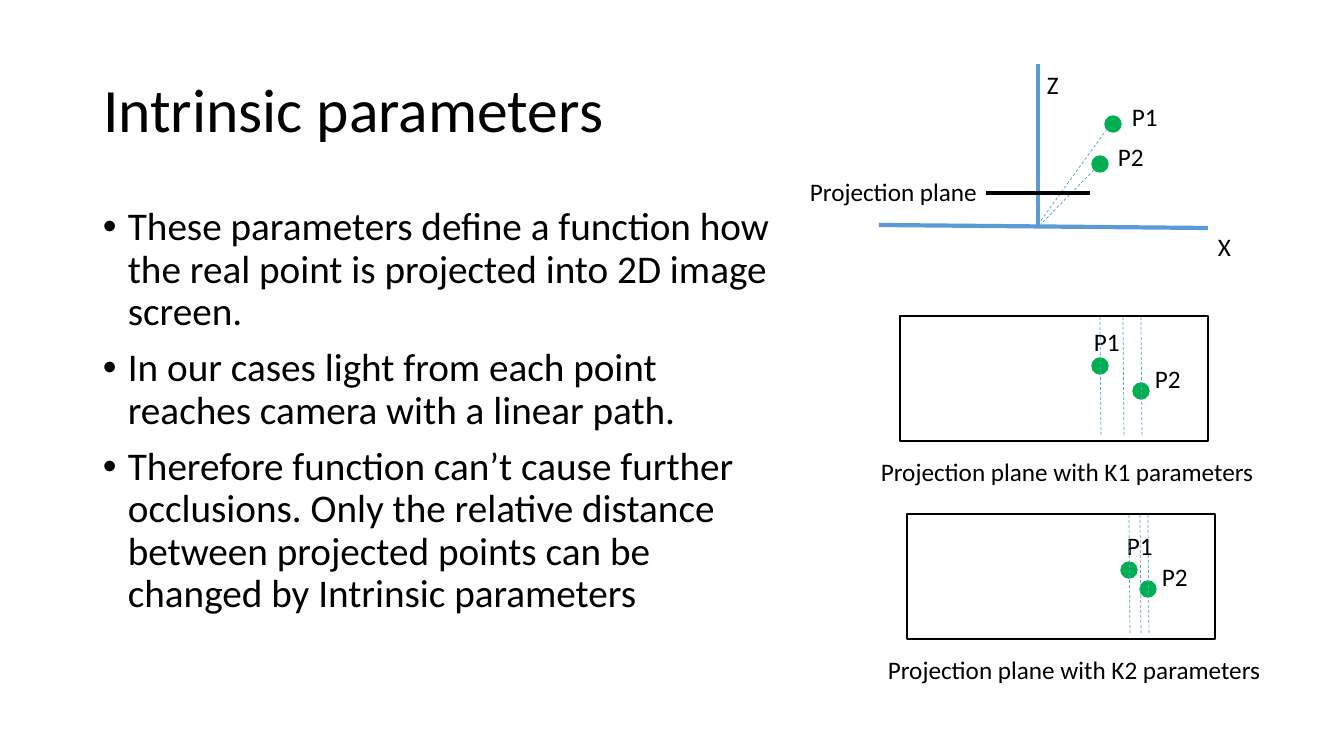
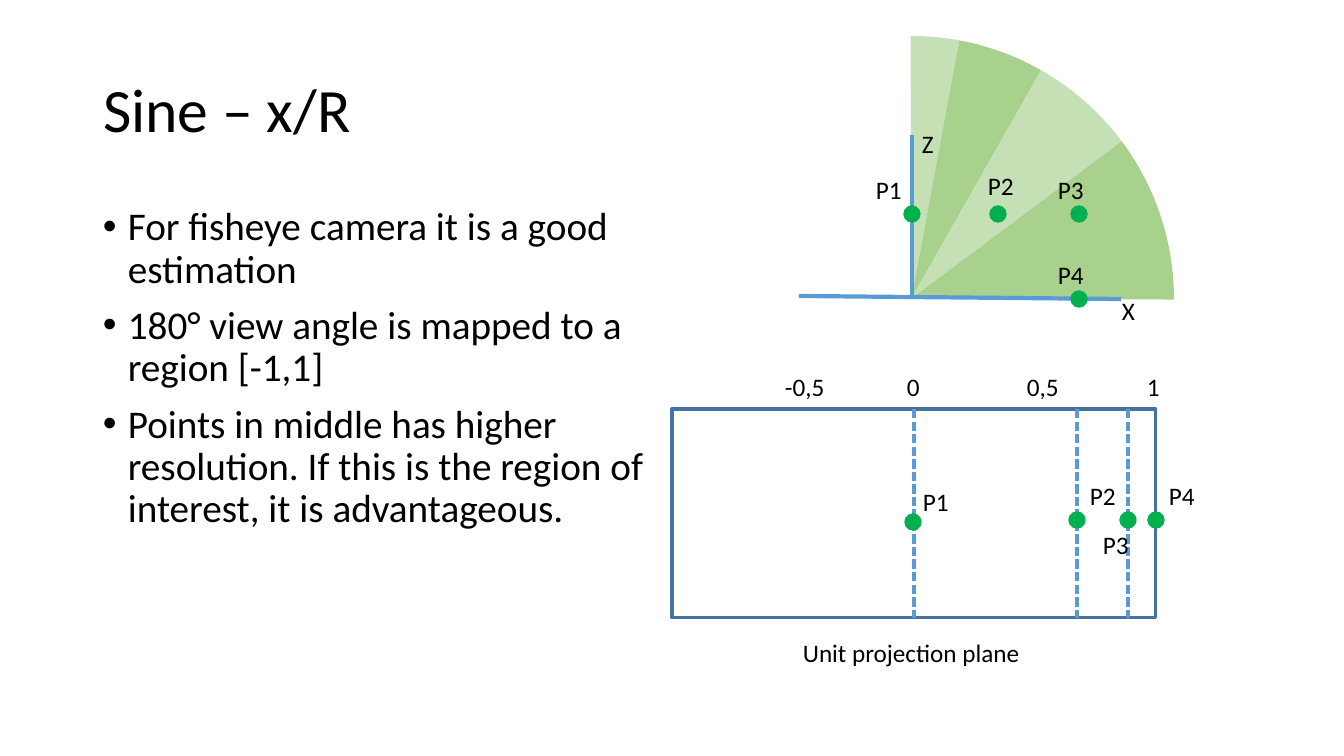
"""Build two slides on camera projection: intrinsic parameters and the sine model."""
from dataclasses import dataclass
from itertools import pairwise

from lxml.etree import SubElement
from pptx import Presentation
from pptx.dml.color import RGBColor as Color
from pptx.enum.dml import MSO_LINE as Dash
from pptx.enum.shapes import MSO_CONNECTOR as Connector, MSO_SHAPE as Shape
from pptx.enum.text import MSO_ANCHOR as Anchor, MSO_AUTO_SIZE as AutoSize, PP_ALIGN as Align
from pptx.oxml.ns import qn
from pptx.util import Emu, Pt


@dataclass(frozen=True)
class Theme:
    """Colours, font and type sizes that the slides share."""
    font: str = "Calibri"
    title: int = 44
    body: int = 28
    label: int = 18
    ink: str = "000000"
    axis: str = "5B9BD5"
    frame: str = "43739E"
    dot: str = "00B050"
    pale: str = "C5E0B4"
    green: str = "A9D18E"


THEME = Theme()
SCALE = 914400 / 100.8
DOT = 16
INDENT = 25


def px(*lengths):
    """Turn pixels into EMU."""
    return [Emu(round(length * SCALE)) for length in lengths]


def style(para, size):
    """Give a paragraph the theme font, colour and left alignment."""
    para.alignment = Align.LEFT
    para.font.name = THEME.font
    para.font.size = Pt(size)
    para.font.color.rgb = Color.from_string(THEME.ink)


def add_page(deck, title, width):
    """Add a title-only page and format its title."""
    page = deck.slides.add_slide(deck.slide_layouts[5])
    box = page.shapes.title
    box.left, box.top, box.width, box.height = px(93, 40, width, 146)
    frame = box.text_frame
    frame.text = title
    frame.word_wrap = True
    frame.auto_size = AutoSize.NONE
    frame.vertical_anchor = Anchor.MIDDLE
    para = frame.paragraphs[0]
    style(para, THEME.title)
    para.line_spacing = 0.9
    return page


def add_bullets(page, width, lines):
    """Add the bulleted body text."""
    frame = page.shapes.add_textbox(*px(93, 202, width, 480)).text_frame
    frame.word_wrap = True
    for index, line in enumerate(lines):
        para = frame.add_paragraph() if index else frame.paragraphs[0]
        para.text = line
        style(para, THEME.body)
        para.line_spacing = 0.9
        para.space_before = Pt(10)
        props = para._p.get_or_add_pPr()
        indent, = px(INDENT)
        props.set("marL", str(indent))
        props.set("indent", str(-indent))
        bullet_font = SubElement(props, qn("a:buFont"), typeface="Arial")
        bullet = SubElement(props, qn("a:buChar"), char="•")
        props.find(qn("a:defRPr")).addprevious(bullet_font)
        bullet_font.addnext(bullet)


def add_label(page, text, left, top, width=46):
    """Add a one-line label."""
    frame = page.shapes.add_textbox(*px(left, top, width, 40)).text_frame
    frame.word_wrap = False
    frame.auto_size = AutoSize.SHAPE_TO_FIT_TEXT
    frame.text = text
    style(frame.paragraphs[0], THEME.label)


def add_line(page, start, end, color=THEME.axis, weight=3.0, dash=None):
    """Add a straight line between two points."""
    line = page.shapes.add_connector(Connector.STRAIGHT, *px(*start, *end))
    line.line.color.rgb = Color.from_string(color)
    line.line.width = Pt(weight)
    if dash:
        line.line.dash_style = dash
    SubElement(line._element.spPr, qn("a:effectLst"))


def add_shape(page, kind, bounds, fill=None, outline=None, weight=1.0):
    """Add a preset shape with an optional fill and outline."""
    shape = page.shapes.add_shape(kind, *px(*bounds))
    shape.shadow.inherit = False
    if fill:
        shape.fill.solid()
        shape.fill.fore_color.rgb = Color.from_string(fill)
    else:
        shape.fill.background()
    if outline:
        shape.line.color.rgb = Color.from_string(outline)
        shape.line.width = Pt(weight)
    else:
        shape.line.fill.background()
    return shape


def add_point(page, name, x, y, shift_x, shift_y):
    """Add a dot centred on x, y and its shifted name."""
    bounds = (x - DOT // 2, y - DOT // 2, DOT, DOT)
    add_shape(page, Shape.FLOWCHART_CONNECTOR, bounds, THEME.dot, THEME.dot)
    add_label(page, name, x + shift_x, y + shift_y)


def add_plane(page, left, top, caption, points, columns):
    """Add a captioned projection plane with points and dashed columns."""
    add_shape(page, Shape.RECTANGLE, (left, top, 308, 125), outline=THEME.ink)
    add_label(page, caption, left - 29, top + 135, 397)
    for point in points:
        add_point(page, *point)
    for x in columns:
        add_line(page, (x, top + 1), (x + 1, top + 121), weight=0.5, dash=Dash.DASH)


def add_fan(page, left, top, size, edges):
    """Add pie sectors between successive angles in degrees."""
    for index, angles in enumerate(pairwise(edges)):
        fill = (THEME.pale, THEME.green)[index % 2]
        sector = add_shape(page, Shape.PIE, (left, top, size, size), fill)
        for side, angle in enumerate(angles):
            sector.adjustments[side] = angle % 360 * 0.6


def build_intrinsic(deck):
    """Build the slide on intrinsic parameters."""
    page = add_page(deck, "Intrinsic parameters", 1159)
    add_bullets(page, 687, [
        "These parameters define a function how the real point is projected into 2D image screen.",
        "In our cases light from each point reaches camera with a linear path.",
        "Therefore function can’t cause further occlusions. Only the relative distance "
        "between projected points can be changed by Intrinsic parameters",
    ])
    add_line(page, (879, 225), (1208, 228))
    add_line(page, (1038, 228), (1038, 64))
    add_label(page, "Z", 1037, 64, 32)
    add_label(page, "X", 1208, 226, 33)
    add_point(page, "P1", 1113, 124, 9, -28)
    add_point(page, "P2", 1100, 164, 8, -28)
    for start, end in (((1107, 129), (1037, 226)), ((1094, 170), (1041, 224))):
        add_line(page, start, end, weight=0.5, dash=Dash.DASH)
    add_line(page, (986, 193), (1090, 193), THEME.ink)
    add_label(page, "Projection plane", 800, 171, 190)
    add_plane(page, 900, 316, "Projection plane with K1 parameters",
              [("P1", 1100, 366, -16, -45), ("P2", 1141, 391, 4, -33)],
              (1100, 1123, 1141))
    add_plane(page, 907, 514, "Projection plane with K2 parameters",
              [("P1", 1129, 570, -12, -45), ("P2", 1148, 589, 4, -33)],
              (1129, 1140, 1148))


def build_sine(deck):
    """Build the slide on the sine model."""
    page = add_page(deck, "Sine – x/R", 580)
    add_fan(page, 649, 36, 525, (269.8, 280.5, 299.6, 323.2, 360.23))
    add_bullets(page, 564, [
        "For fisheye camera it is a good estimation",
        "180° view angle is mapped to a region [-1,1]",
        "Points in middle has higher resolution. If this is the region of interest, "
        "it is advantageous.",
    ])
    add_line(page, (799, 296), (1121, 299))
    add_line(page, (912, 299), (912, 135))
    add_label(page, "Z", 912, 123, 32)
    add_label(page, "X", 1112, 290, 33)
    for point in (("P1", 912, 214, -46, -45), ("P2", 998, 214, -20, -49),
                  ("P3", 1079, 214, -31, -45), ("P4", 1079, 299, -31, -45)):
        add_point(page, *point)

    top, bottom = 409, 618
    add_shape(page, Shape.RECTANGLE, (672, top, 484, bottom - top),
              outline=THEME.frame, weight=2.25)
    for x in (914, 1077, 1128):
        add_line(page, (x, top), (x, bottom), weight=2.25, dash=Dash.SQUARE_DOT)
    for point in (("P1", 913, 522, 0, -41), ("P2", 1077, 520, 3, -45),
                  ("P3", 1128, 520, -35, 4), ("P4", 1156, 520, 3, -45)):
        add_point(page, *point)
    for text, left, width in (("-0,5", 775, 60), ("0", 897, 33),
                              ("0,5", 1017, 52), ("1", 1137, 33)):
        add_label(page, text, left, 366, width)
    add_label(page, "Unit projection plane", 793, 632, 240)


def main():
    """Build and save the deck."""
    deck = Presentation()
    deck.slide_width, deck.slide_height = px(1344, 756)
    build_intrinsic(deck)
    build_sine(deck)
    deck.save("out.pptx")


main()
